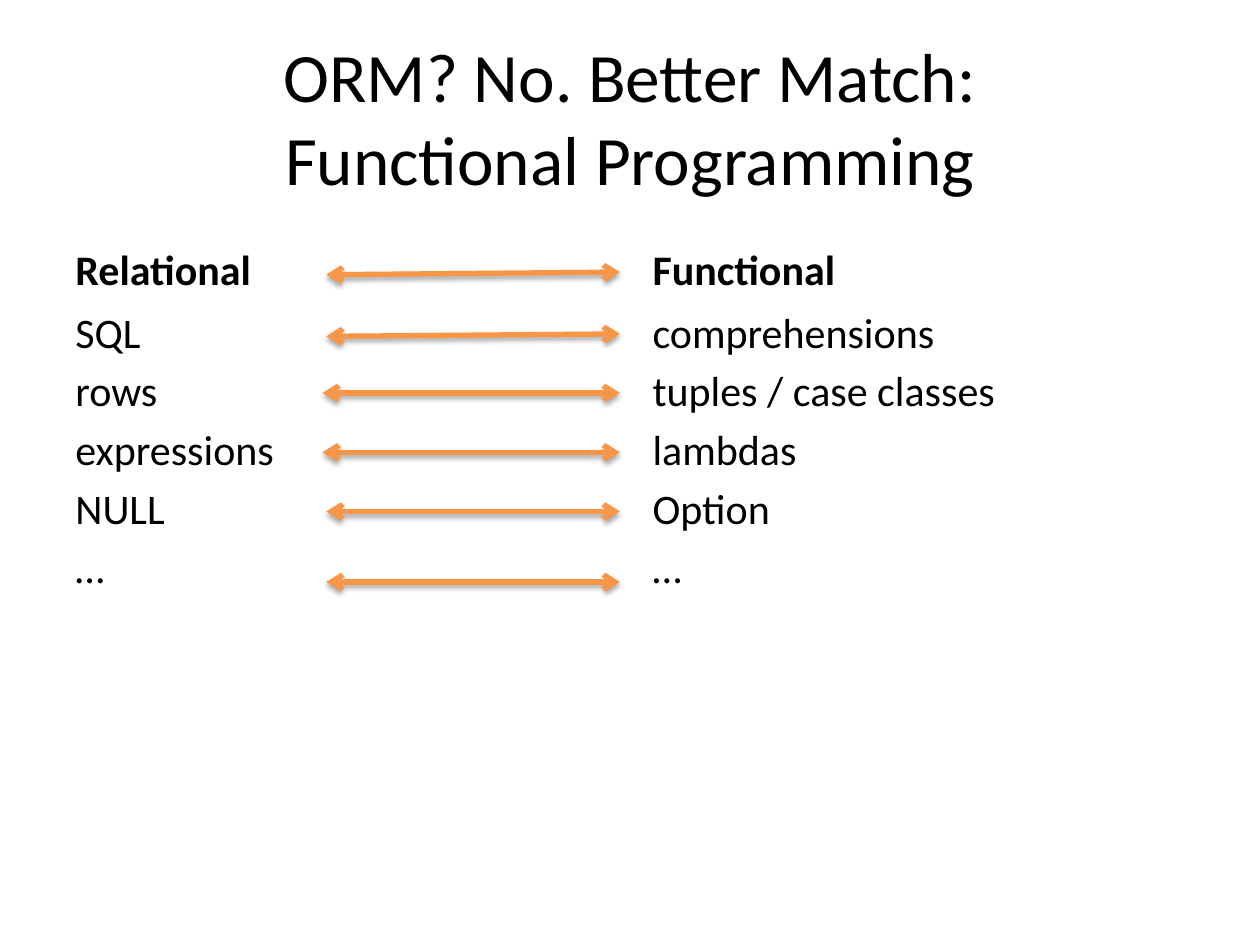
from lxml.etree import SubElement
from pptx import Presentation
from pptx.dml.color import RGBColor
from pptx.enum.shapes import MSO_CONNECTOR as Connector
from pptx.enum.text import MSO_ANCHOR as Anchor, PP_ALIGN as Align
from pptx.oxml.ns import qn
from pptx.util import Pt


def color(hex_string):
    """Turn a hex string into a colour."""
    return RGBColor.from_string(hex_string)


class SlideBuilder:
    """Holds the style and the current slide."""
    font = "Calibri"
    ink = "000000"
    accent = "F79646"

    def __init__(self, page):
        """Keep the page to draw on."""
        self.page = page

    def text(self, lines, left, top, width, height, size=24, bold=False,
             anchor=Anchor.TOP, align=Align.LEFT, before=4.8):
        """Add a text box with one paragraph per line."""
        box = self.page.shapes.add_textbox(Pt(left), Pt(top), Pt(width), Pt(height))
        frame = box.text_frame
        frame.word_wrap = True
        frame.vertical_anchor = anchor
        for index, line in enumerate(lines):
            para = frame.add_paragraph() if index else frame.paragraphs[0]
            para.text = line
            para.alignment = align
            para.space_before = Pt(before)
            para.font.name = self.font
            para.font.size = Pt(size)
            para.font.bold = bold
            para.font.color.rgb = color(self.ink)

    def double_arrow(self, start_x, start_y, end_x, end_y):
        """Add a line with two arrowheads and a soft shadow below."""
        arrow = self.page.shapes.add_connector(
            Connector.STRAIGHT, Pt(start_x), Pt(start_y), Pt(end_x), Pt(end_y))
        arrow.line.width = Pt(3)
        arrow.line.color.rgb = color(self.accent)
        properties = arrow._element.spPr
        outline = properties.find(qn("a:ln"))
        for end in ("a:headEnd", "a:tailEnd"):
            SubElement(outline, qn(end), type="arrow")
        effects = SubElement(properties, qn("a:effectLst"))
        shadow = SubElement(effects, qn("a:outerShdw"), blurRad=str(Pt(3.1)),
                            dist=str(Pt(1.8)), dir="5400000", rotWithShape="0")
        shade = SubElement(shadow, qn("a:srgbClr"), val=self.ink)
        SubElement(shade, qn("a:alpha"), val="35000")


deck = Presentation()
deck.slide_width, deck.slide_height = Pt(720), Pt(540)
slide = SlideBuilder(deck.slides.add_slide(deck.slide_layouts[6]))

slide.text(["ORM? No. Better Match:\vFunctional Programming"], 36, 21.6, 648, 90,
           size=39.6, anchor=Anchor.MIDDLE, align=Align.CENTER, before=0)

COLUMNS = [
    (36, "Relational", ["SQL", "rows", "expressions", "NULL", "…"]),
    (365.8, "Functional",
     ["comprehensions", "tuples / case classes", "lambdas", "Option", "…"]),
]
for left, heading, terms in COLUMNS:
    slide.text([heading], left, 121, 318.2, 50.4, bold=True, anchor=Anchor.BOTTOM)
    slide.text(terms, left, 171.4, 318.2, 311)

ARROW_RIGHT = 354.2
ARROWS = [  # right y, left x, left y
    (155.5, 186.5, 157), (190.8, 186.5, 192.2), (224.6, 184.3, 224.6),
    (258.5, 184.3, 258.5), (292.3, 186.5, 292.3), (332.6, 186.5, 332.6),
]
for right_y, left_x, left_y in ARROWS:
    slide.double_arrow(ARROW_RIGHT, right_y, left_x, left_y)

deck.save("out.pptx")
